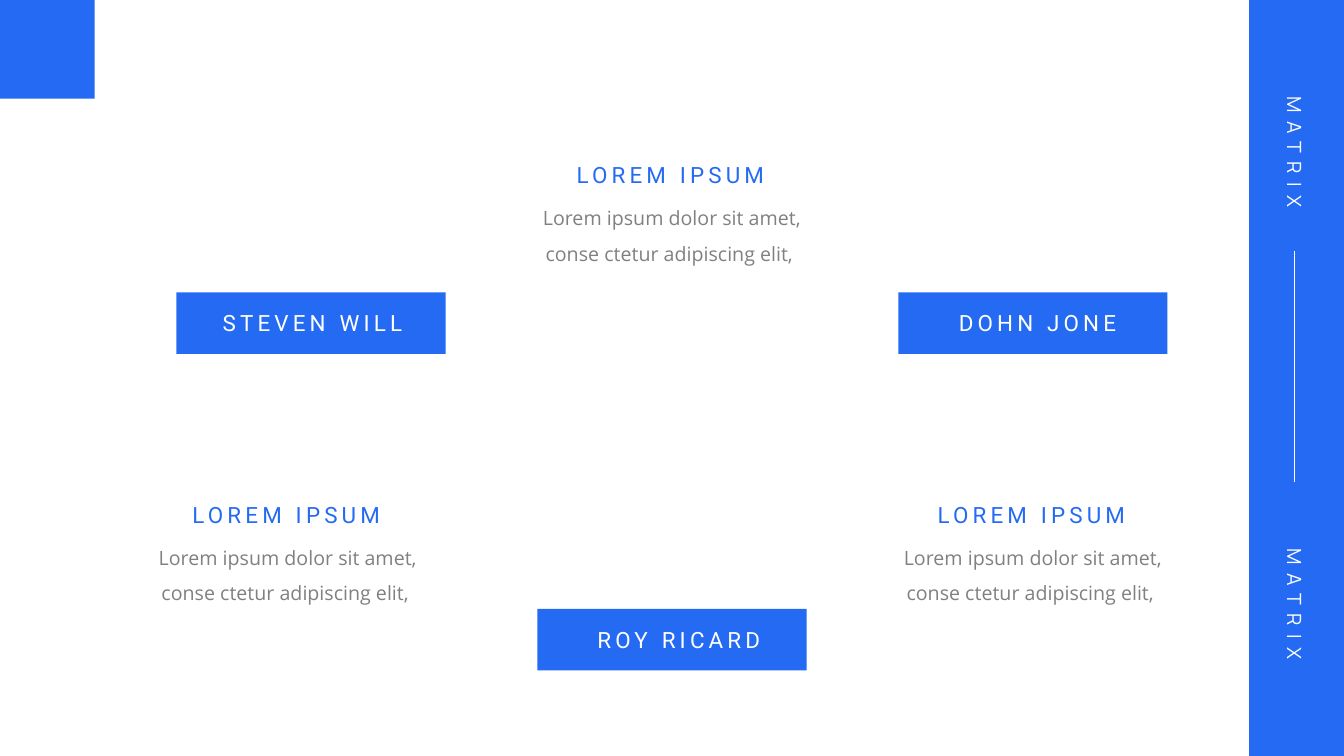
"""Build the matrix slide with name bars, captions and a side band."""
from lxml.etree import SubElement
from pptx import Presentation
from pptx.dml.color import RGBColor
from pptx.enum.shapes import MSO_CONNECTOR, MSO_SHAPE
from pptx.enum.text import MSO_AUTO_SIZE, PP_ALIGN
from pptx.oxml.ns import qn
from pptx.util import Inches, Pt

COLORS = {"blue": "256AF3", "white": "FFFFFF", "gray": "808080"}
BODY = "Lorem ipsum dolor sit amet, conse ctetur adipiscing elit, "


def rgb(name):
    return RGBColor.from_string(COLORS[name])


def add_block(s, left, top, width, height):
    sp = s.shapes.add_shape(MSO_SHAPE.RECTANGLE, Inches(left), Inches(top),
                            Inches(width), Inches(height))
    sp.shadow.inherit = False
    sp.fill.solid()
    sp.fill.fore_color.rgb = rgb("blue")
    sp.line.fill.background()


def add_text(s, text, left, top, width, height, *, font, size, color,
             align=PP_ALIGN.CENTER, wrap=True, tracking=0, leading=None, rotation=0):
    sp = s.shapes.add_textbox(Inches(left), Inches(top), Inches(width), Inches(height))
    sp.rotation = rotation
    tf = sp.text_frame
    tf.word_wrap = wrap
    tf.auto_size = MSO_AUTO_SIZE.SHAPE_TO_FIT_TEXT
    p = tf.paragraphs[0]
    p.alignment = align
    if leading:
        p.line_spacing = leading
    r = p.add_run()
    r.text = text
    r.font.name = font
    r.font.size = Pt(size)
    r.font.color.rgb = rgb(color)
    if tracking:
        r.font._element.set("spc", str(tracking * 100))


def add_heading(s, text, left, top, width, color):
    add_text(s, text, left, top, width, 0.37, font="Roboto", size=16, color=color,
             align=PP_ALIGN.RIGHT, wrap=False, tracking=3)


def add_name_bar(s, name, left, top, label_left, label_width):
    add_block(s, left, top, 2.67, 0.61)
    add_heading(s, name, label_left, top + 0.12, label_width, "white")


def add_caption(s, left, top):
    add_heading(s, "LOREM IPSUM", left + 0.48, top, 2.1, "blue")
    add_text(s, BODY, left, top + 0.33, 3.13, 0.77, font="Open Sans", size=14,
             color="gray", leading=1.5)


def add_side_band(s):
    add_block(s, 12.39, 0, 0.94, 7.5)
    for top in (1.34, 5.82):
        add_text(s, "MATRIX", 11.86, top, 1.96, 0.34, font="Manrope", size=14,
                 color="white", tracking=6, rotation=90)
    line = s.shapes.add_connector(MSO_CONNECTOR.STRAIGHT, Inches(12.84), Inches(2.49),
                                  Inches(12.84), Inches(4.78))
    line.line.color.rgb = rgb("white")
    line.line.width = Pt(0.5)
    SubElement(line._element.spPr, qn("a:effectLst"))


def main():
    prs = Presentation()
    prs.slide_width, prs.slide_height = Inches(13.33), Inches(7.5)
    s = prs.slides.add_slide(prs.slide_layouts[6])
    add_side_band(s)
    add_block(s, 0, 0, 0.94, 0.98)
    for name, left, top, label_left, label_width in (
            ("STEVEN WILL", 1.75, 2.9, 2.08, 2.01),
            ("ROY RICARD", 5.33, 6.04, 5.69, 1.95),
            ("DOHN JONE", 8.91, 2.9, 9.32, 1.85)):
        add_name_bar(s, name, left, top, label_left, label_width)
    for left, top in ((1.29, 4.92), (5.1, 1.55), (8.68, 4.92)):
        add_caption(s, left, top)
    prs.save("out.pptx")


if __name__ == "__main__":
    main()
